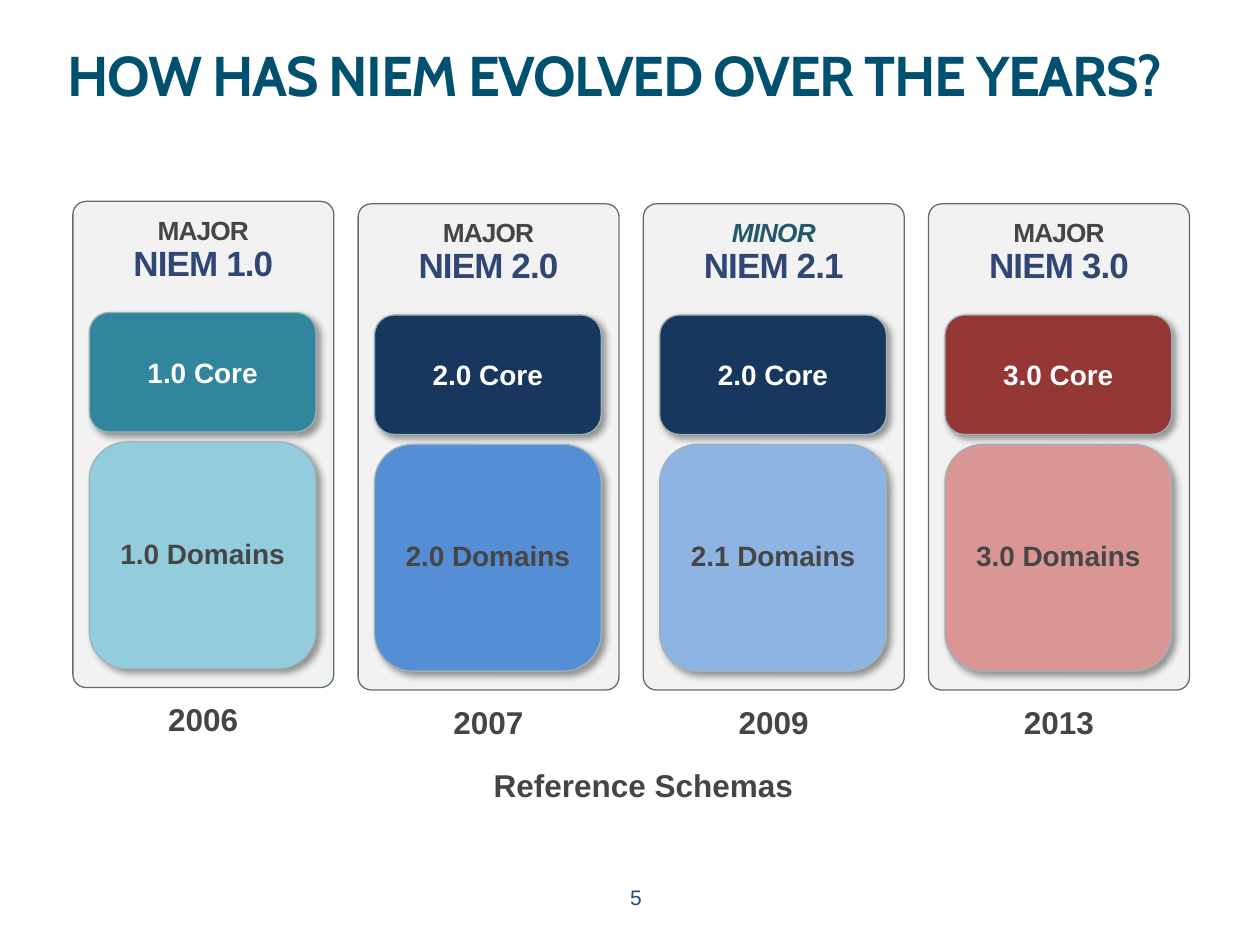
import lxml.etree
import pptx
import pptx.dml.color
import pptx.enum.shapes
import pptx.enum.text
import pptx.oxml
import pptx.oxml.ns
import pptx.util

Cm = pptx.util.Cm
Pt = pptx.util.Pt
ROUNDED = pptx.enum.shapes.MSO_SHAPE.ROUNDED_RECTANGLE
ANCHOR = pptx.enum.text.MSO_ANCHOR


def color(value):
    return pptx.dml.color.RGBColor.from_string(value)


def write(frame, text, size=18, fill="454545", font="Arial", bold=True,
          italic=False, spacing=0, leading=1.0):
    paragraph = frame.paragraphs[-1]
    if paragraph.runs:
        paragraph = frame.add_paragraph()
    paragraph.alignment = pptx.enum.text.PP_ALIGN.CENTER
    paragraph.line_spacing = leading
    run = paragraph.add_run()
    run.text = text
    run.font.name = font
    run.font.size = Pt(size)
    run.font.bold = bold
    run.font.italic = italic
    run.font.color.rgb = color(fill)
    if spacing:
        run.font._element.set("spc", str(round(spacing * 100)))


shadow_xml = (
    f'<a:effectLst {pptx.oxml.ns.nsdecls("a")}>'
    '<a:outerShdw blurRad="50800" dist="38100" dir="2700000" algn="tl" rotWithShape="0">'
    '<a:srgbClr val="000000"><a:alpha val="40000"/></a:srgbClr>'
    '</a:outerShdw></a:effectLst>'
)

presentation = pptx.Presentation()
presentation.slide_width = Cm(25.4)
presentation.slide_height = Cm(19.05)
slide = presentation.slides.add_slide(presentation.slide_layouts[6])

title = slide.shapes.add_textbox(Cm(1.27), Cm(1.07), Cm(22.48), Cm(2.26)).text_frame
title.word_wrap = True
title.margin_left = title.margin_right = title.margin_top = title.margin_bottom = 0
write(title, "HOW HAS NIEM EVOLVED OVER THE YEARS? ", size=32, fill="00506F",
      font="Cabin", spacing=-0.8, leading=0.8)

page_number = slide.shapes.add_textbox(Cm(9.86), Cm(17.7), Cm(5.92), Cm(1.02)).text_frame
page_number.word_wrap = True
write(page_number, "5", size=12, fill="1F497D", bold=False)

caption = slide.shapes.add_textbox(Cm(9.63), Cm(15.32), Cm(6.68), Cm(1.02)).text_frame
caption.word_wrap = True
write(caption, "Reference Schemas")

releases = [
    ("MAJOR", "1.0", "1.0", "2006", "31859C", "93CDDD", 4.06),
    ("MAJOR", "2.0", "2.0", "2007", "17375E", "558ED5", 4.11),
    ("MINOR", "2.1", "2.0", "2009", "17375E", "8EB4E3", 4.11),
    ("MAJOR", "3.0", "3.0", "2013", "953735", "D99694", 4.11),
]

for column, (kind, version, core, year, core_fill, domain_fill, top) in enumerate(releases):
    left = 1.47 + 5.75 * column
    minor = kind == "MINOR"

    panel = slide.shapes.add_shape(ROUNDED, Cm(left), Cm(top), Cm(5.26), Cm(9.8))
    panel.adjustments[0] = 0.05
    panel.shadow.inherit = False
    panel.fill.solid()
    panel.fill.fore_color.rgb = color("F2F2F2")
    panel.line.color.rgb = color("5C7073")
    panel.line.width = Pt(0.75)
    heading = panel.text_frame
    heading.vertical_anchor = ANCHOR.TOP
    heading.margin_top = Cm(0.25)
    write(heading, kind, size=15, fill="215968" if minor else "454545",
          italic=minor, spacing=-0.5, leading=0.9)
    write(heading, f"NIEM {version}", size=20, fill="304776", spacing=-0.5, leading=0.9)

    year_label = slide.shapes.add_textbox(Cm(left + 1.66), Cm(top + 9.93), Cm(1.93), Cm(1.02))
    year_label.text_frame.word_wrap = False
    write(year_label.text_frame, year)

    for label, offset, height, fill, text_fill, leading in [
        (f"{core} Core", 2.24, 2.41, core_fill, "FFFFFF", 1.0),
        (f"{version} Domains", 4.85, 4.57, domain_fill, "464646", 0.9),
    ]:
        block = slide.shapes.add_shape(
            ROUNDED, Cm(left + 0.33), Cm(top + offset), Cm(4.57), Cm(height))
        block.fill.solid()
        block.fill.fore_color.rgb = color(fill)
        block.line.color.rgb = color("9EB3B6")
        block.line.width = Pt(0.75)
        block._element.spPr.append(pptx.oxml.parse_xml(shadow_xml))
        block.text_frame.vertical_anchor = ANCHOR.MIDDLE
        block.text_frame.word_wrap = True
        write(block.text_frame, label, size=16, fill=text_fill, leading=leading)

presentation.save("out.pptx")
